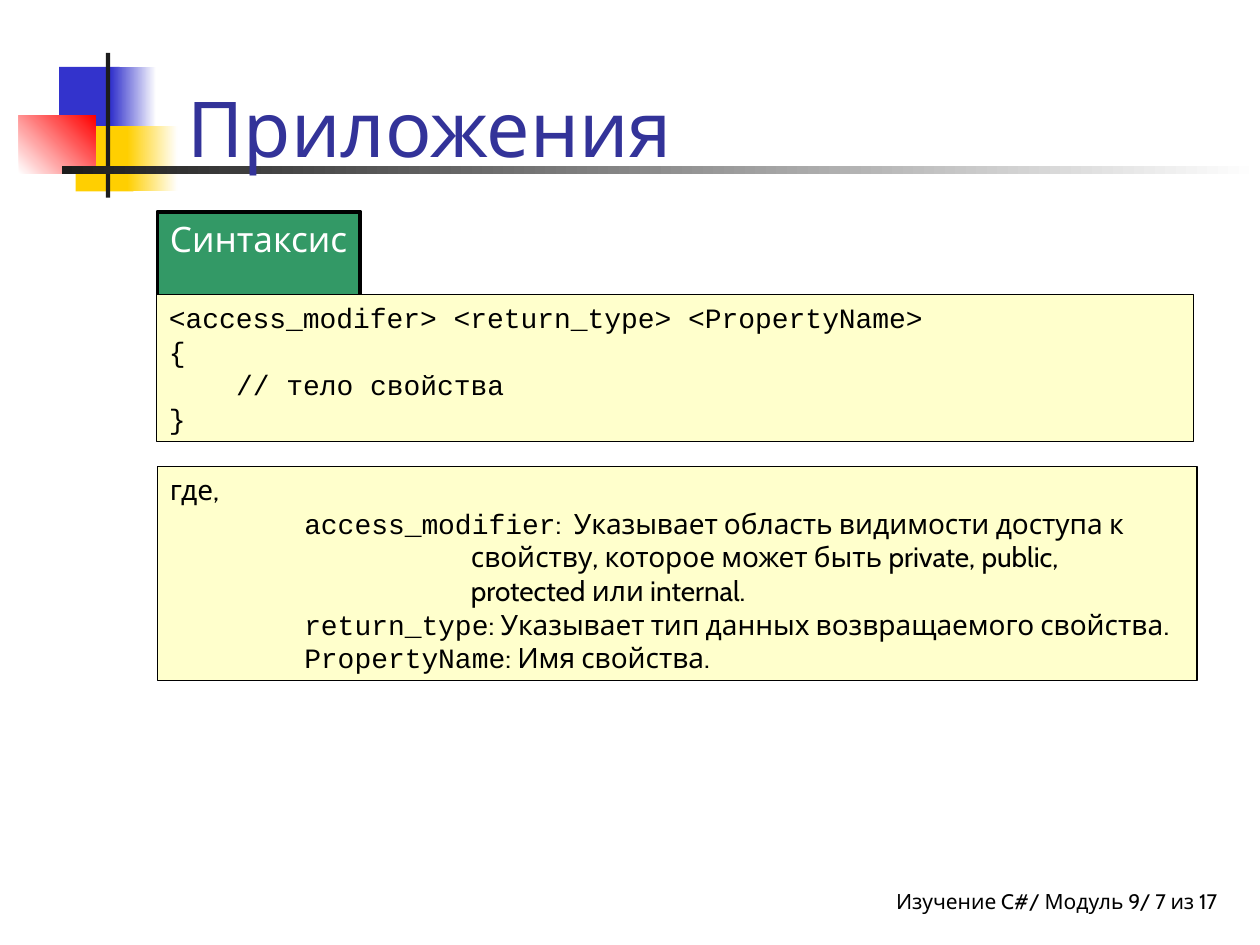
from pptx import Presentation
from pptx import util as u
from pptx.dml.color import RGBColor
from pptx.enum import shapes, text

COLORS = {
    "blue": "3333CC", "yellow": "FFCF01", "red": "FF0000", "dark": "1C1C1C",
    "white": "FFFFFF", "black": "000000", "title": "333399",
    "green": "339966", "cream": "FFFFCC",
}
BODY, CODE = "Cabin", "Courier New"
INDENT, DEEP_INDENT, CODE_INDENT = 76.8, 172, 38.4
BOX_SPACING = 19.2

DECORATION = [
    ((33.8, 38.2, 34.6, 37.4), ["blue"], 0),
    ((63.4, 38.2, 25.9, 37.4), ["blue", "white"], 0),
    ((43.2, 72, 33.1, 37.4), ["yellow"], 0),
    ((72.7, 72, 28.8, 37.4), ["yellow", "white"], 0),
    ((10.8, 66, 43.9, 33.1), ["white", "red"], 45),
    ((60.5, 30.2, 2.4, 82.8), ["dark"], 0),
    ((35.3, 95, 684.7, 4.3), ["dark", "white"], 0),
]

SYNTAX = [
    (0, [("<access_modifer> <return_type> <PropertyName>", CODE)]),
    (0, [("{", CODE)]),
    (CODE_INDENT, [("// тело свойства", CODE)]),
    (0, [("}", CODE)]),
]

EXPLANATION = [
    (0, [("где,", BODY)]),
    (INDENT, [("access_modifier", CODE),
              (":  Указывает область видимости доступа к", BODY)]),
    (DEEP_INDENT, [("свойству, которое может быть private, public,", BODY)]),
    (DEEP_INDENT, [("protected или internal.", BODY)]),
    (INDENT, [("return_type", CODE),
              (": Указывает тип данных возвращаемого свойства.", BODY)]),
    (INDENT, [("PropertyName", CODE), (": Имя свойства.", BODY)]),
]


def rgb(name):
    return RGBColor.from_string(COLORS[name])


def points(values):
    return [u.Pt(value) for value in values]


def apply(target, values):
    for name, value in values.items():
        setattr(target, name, value)


def add_rectangle(slide, box, fill, angle=0, line_width=None):
    shape = slide.shapes.add_shape(shapes.MSO_SHAPE.RECTANGLE, *points(box))
    shape.shadow.inherit = False
    if len(fill) == 1:
        shape.fill.solid()
        shape.fill.fore_color.rgb = rgb(fill[0])
    else:
        shape.fill.gradient()
        shape.fill.gradient_angle = angle
        for stop, name in zip(shape.fill.gradient_stops, fill):
            stop.color.rgb = rgb(name)
    if line_width:
        shape.line.color.rgb = rgb("black")
        shape.line.width = u.Pt(line_width)
    else:
        shape.line.fill.background()
    return shape


def write_lines(shape, lines, size, color="black", spacing=None,
                align=text.PP_ALIGN.LEFT, **frame_format):
    frame = shape.text_frame
    apply(frame, {
        "word_wrap": True, "vertical_anchor": text.MSO_ANCHOR.TOP,
        "margin_left": u.Pt(7.2), "margin_right": u.Pt(7.2),
        "margin_top": u.Pt(3.6), "margin_bottom": u.Pt(3.6), **frame_format,
    })
    for index, (indent, runs) in enumerate(lines):
        paragraph = frame.paragraphs[0] if index == 0 else frame.add_paragraph()
        paragraph.alignment = align
        if spacing:
            paragraph.line_spacing = u.Pt(spacing)
        if indent:
            paragraph._p.get_or_add_pPr().set("marL", str(u.Pt(indent)))
        for words, font in runs:
            run = paragraph.add_run()
            run.text = words
            apply(run.font, {"name": font, "size": u.Pt(size)})
            run.font.color.rgb = rgb(color)


def add_label(slide, box, words, size, color="black", **options):
    label = slide.shapes.add_textbox(*points(box))
    write_lines(label, [(0, [(words, BODY)])], size, color, **options)


def main():
    presentation = Presentation()
    presentation.slide_width, presentation.slide_height = points((720, 540))
    slide = presentation.slides.add_slide(presentation.slide_layouts[6])

    add_label(slide, (329.8, 504, 365.8, 23.8), "Изучение C#/ Модуль 9/ 7 из 17",
              12, align=text.PP_ALIGN.RIGHT, margin_right=0)
    for box, fill, angle in DECORATION:
        add_rectangle(slide, box, fill, angle)
    add_label(slide, (100.1, 12.2, 613.4, 90), "Приложения", 44, "title",
              vertical_anchor=text.MSO_ANCHOR.BOTTOM)

    tab = add_rectangle(slide, (90, 121, 115.9, 55.4), ["green"], line_width=2.25)
    write_lines(tab, [(0, [("Синтаксис", BODY)])], 20, "white", word_wrap=False)
    for box, lines in [((89.5, 168.3, 592.6, 84), SYNTAX),
                       ((90, 266.6, 594, 122.4), EXPLANATION)]:
        panel = add_rectangle(slide, box, ["cream"], line_width=0.75)
        write_lines(panel, lines, 16, spacing=BOX_SPACING)

    presentation.save("out.pptx")


if __name__ == "__main__":
    main()
